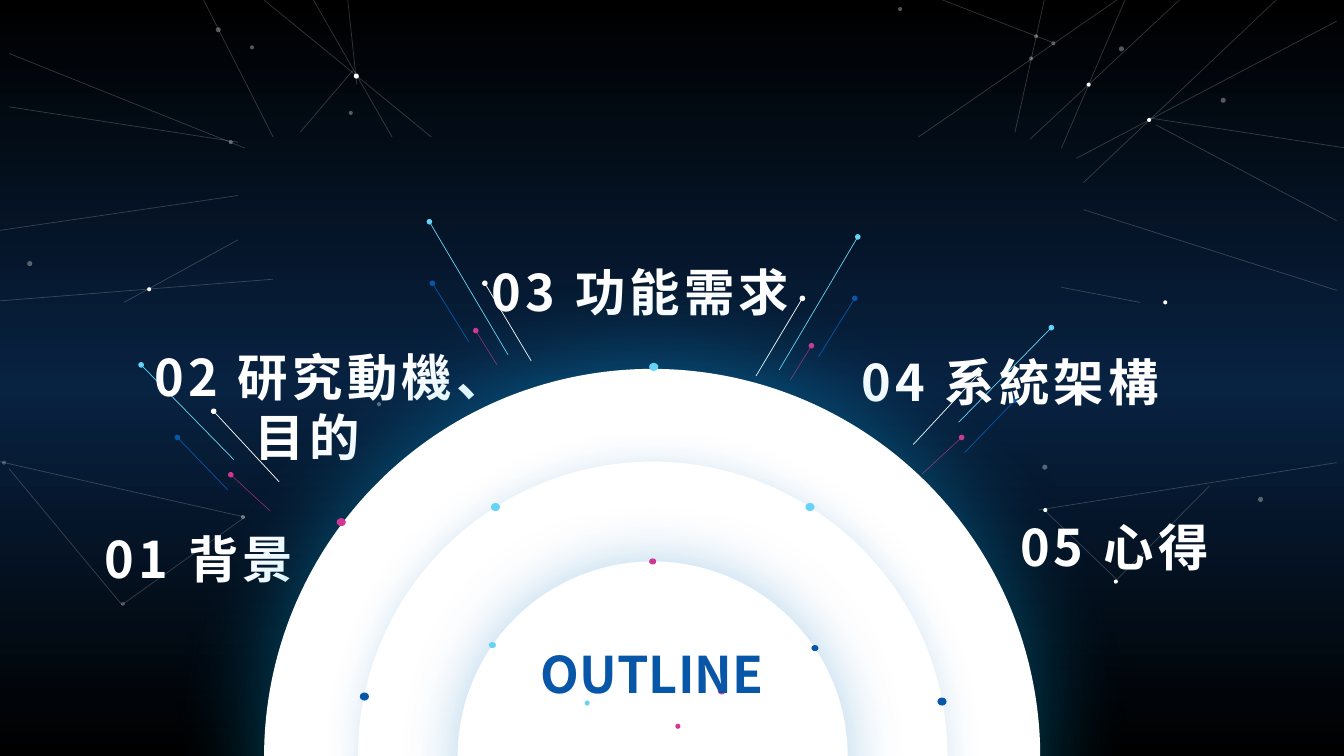
from lxml.etree import SubElement
from pptx import Presentation
from pptx.dml.color import RGBColor
from pptx.enum.shapes import MSO_CONNECTOR as LINK, MSO_SHAPE as SHAPE
from pptx.enum.text import MSO_ANCHOR as ANCHOR, MSO_AUTO_SIZE as FIT, PP_ALIGN as ALIGN
from pptx.oxml import parse_xml
from pptx.oxml.ns import nsdecls, qn
from pptx.util import Cm, Pt

IN = 2.54  # the layout grid is in inches, lengths are given in Cm
WHITE, CYAN, BLUE, PINK = "FFFFFF", "65D3F6", "0756A7", "D13694"


def paint(fill, colour, owner, alpha=100):
    fill.solid()
    fill.fore_color.rgb = RGBColor.from_string(colour)
    if alpha < 100:
        for tone in owner.element.spPr.iter(qn("a:srgbClr")):
            SubElement(tone, qn("a:alpha")).set("val", str(alpha * 1000))


def write(box, text, left, top, width, height=0.71, colour=WHITE, spacing=0, shift=0):
    box.left, box.top, box.width, box.height = [Cm(v * IN) for v in (left, top, width, height)]
    frame = box.text_frame
    frame.word_wrap = True
    frame.auto_size = FIT.SHAPE_TO_FIT_TEXT
    frame.vertical_anchor = ANCHOR.TOP
    frame.text = text
    for number, paragraph in enumerate(frame.paragraphs):
        paragraph.alignment = ALIGN.CENTER
        if number and shift:
            paragraph._p.get_or_add_pPr().set("marR", str(Cm(shift * IN)))
        font = paragraph.runs[0].font
        font.size, font.bold, font.name = Pt(36), True, "Noto Sans CJK SC"
        font.color.rgb = RGBColor.from_string(colour)
        props = paragraph.runs[0]._r.get_or_add_rPr()
        props.set("spc", str(spacing * 100))
        SubElement(props, qn("a:ea")).set("typeface", font.name)


deck = Presentation()
deck.slide_width, deck.slide_height = Cm(13.333 * IN), Cm(7.5 * IN)
slide = deck.slides.add_slide(deck.slide_layouts[5])
shapes = slide.shapes

# Night-sky background
stops = "".join(f'<a:gs pos="{pos}000"><a:srgbClr val="{tone}"/></a:gs>'
                for pos, tone in ((0, "000000"), (51, "082241"), (100, "000000")))
slide.element.cSld.insert(0, parse_xml(
    f'<p:bg {nsdecls("p", "a")}><p:bgPr><a:gradFill><a:gsLst>{stops}</a:gsLst>'
    '<a:lin ang="5400000" scaled="0"/></a:gradFill><a:effectLst/></p:bgPr></p:bg>'))

# Faint web of lines in the corners: from x, y to x, y
web = [
    (2.02, 0, 2.71, 1.36), (2.62, 0, 4.28, 1.36), (3.11, 0, 3.89, 1.36),
    (3.45, 0, 3.54, 0.84), (3.5, 0.7, 2.98, 1.31), (0.09, 0.53, 2.43, 1.47),
    (0.09, 1.06, 2.36, 1.41), (-0.1, 2.3, 2.36, 1.94), (-0.19, 3, 2.71, 2.77),
    (1.23, 3, 2.36, 2.38), (0, 4.58, 2.43, 5.13), (0.09, 4.65, 1.21, 6),
    (1.21, 6, 2.43, 5.13), (9.35, 0, 10.44, 0.42), (10.36, 0, 10.07, 1.31),
    (11.08, 0, 9.11, 1.36), (11.7, 0, 10.22, 1.38), (11.16, 0, 10.53, 1.47),
    (13.26, 0.21, 10.68, 1.57), (12.66, 0, 10.75, 1.81), (11.47, 1.24, 13.26, 2.19),
    (11.4, 1.17, 13.36, 1.47), (10.75, 2.08, 13.26, 2.88), (10.53, 2.85, 11.31, 3),
    (10.3, 5.06, 13.26, 4.59), (10.36, 5.06, 11.08, 5.75), (11.08, 5.75, 12, 4.82),
]
lines = [(ends, WHITE, 0.5, 20, False) for ends in web]

# Rays on the left, each fan mirrored to the right: mirror sum, drop, rays
fans = [
    (11.83, -0.37, [(2.12, 4.08, 2.77, 4.78), (1.4, 3.62, 2.32, 4.56),
                    (1.76, 4.34, 2.26, 4.86), (2.29, 4.71, 2.68, 5.07)]),
    (12.77, 0.15, [(4.81, 2.81, 5.27, 3.58), (4.26, 2.2, 5.04, 3.52),
                   (4.29, 2.81, 4.65, 3.39), (4.72, 3.28, 4.93, 3.62)]),
]
for mirror, drop, rays in fans:
    for (x1, y1, x2, y2), colour in zip(rays, (WHITE, CYAN, BLUE, PINK)):
        weight = 0.25 if colour == PINK else 0.5
        reflected = (mirror - x1, y1 + drop, mirror - x2, y2 + drop)
        lines += [(ends, colour, weight, 100, True) for ends in ((x1, y1, x2, y2), reflected)]

for ends, colour, weight, alpha, dotted in lines:
    ray = shapes.add_connector(LINK.STRAIGHT, *[Cm(v * IN) for v in ends])
    ray.line.width = Pt(weight)
    paint(ray.line.fill, colour, ray, alpha)
    if dotted:
        head = SubElement(ray.line._get_or_add_ln(), qn("a:headEnd"))
        for key, value in (("type", "oval"), ("w", "sm"), ("len", "sm")):
            head.set(key, value)
    SubElement(ray.element.spPr, qn("a:effectLst"))

# Chapters that lie under the glow of the dome
chapters = [
    ("01 背景", 0.73, 5.19, 2.49, 0.71), ("02 研究動機、\n目的", 1.26, 3.38, 4.04, 1.31),
    ("03 功能需求", 4.64, 2.54, 3.43, 0.71), ("04 系統架構", 8.27, 3.43, 3.5, 0.71),
]
for chapter in chapters:
    write(shapes.add_textbox(0, 0, 0, 0), *chapter, spacing=3, shift=0.46)

# Stars: left, top, size, opacity
stars = [
    (3.51, 0.73, 0.05, 100), (3.46, 1.1, 0.04, 33), (2.48, 0.45, 0.04, 33),
    (2.14, 0.27, 0.05, 33), (0.27, 2.59, 0.05, 33), (2.27, 1.39, 0.04, 33),
    (1.46, 2.85, 0.04, 100), (3.74, 3.99, 0.04, 33), (2.39, 5.11, 0.04, 36),
    (0.02, 4.57, 0.04, 24), (1.2, 5.97, 0.04, 24), (11.1, 0.46, 0.05, 33),
    (8.91, 0.07, 0.04, 33), (10.26, 0.34, 0.04, 33), (10.43, 0.41, 0.04, 33),
    (10.21, 0.56, 0.04, 33), (10.78, 0.82, 0.04, 100), (11.38, 1.17, 0.04, 100),
    (12.11, 0.97, 0.05, 33), (11.54, 2.98, 0.04, 100), (10.34, 4.61, 0.05, 33),
    (12.48, 4.93, 0.05, 33), (11.05, 5.75, 0.04, 100), (10.35, 5.04, 0.04, 100),
]
rounds = [(x, y, d, d, WHITE, alpha, ("5DFFF9", 40, 23, 0, 0)) for x, y, d, alpha in stars]

# Dome of three discs: left, top, size, glow (colour, opacity, blur, distance, angle)
dome = [
    (2.62, 3.66, 7.7, ("00B0F0", 40, 71, 3, 270)),
    (3.55, 4.58, 5.85, ("0070C0", 17, 25, 0, 0)),
    (4.54, 5.57, 3.87, ("0070C0", 31, 42, 0, 0)),
]
rounds += [(x, y, d, d, WHITE, 100, glow) for x, y, d, glow in dome]

# Beads on the discs: left, top, width, height, colour
beads = [
    (4.85, 6.37, 0.07, 0.06, CYAN), (6.44, 5.54, 0.07, 0.06, PINK),
    (8.05, 6.4, 0.07, 0.06, BLUE), (7.12, 6.81, 0.08, 0.08, PINK),
    (6.7, 7.18, 0.05, 0.05, PINK), (5.8, 6.95, 0.05, 0.05, CYAN),
    (4.87, 4.99, 0.09, 0.08, CYAN), (3.57, 6.87, 0.09, 0.08, BLUE),
    (7.99, 4.99, 0.09, 0.08, CYAN), (9.3, 6.92, 0.09, 0.08, BLUE),
    (3.34, 5.14, 0.09, 0.08, PINK), (6.44, 3.6, 0.09, 0.08, CYAN),
]
rounds += [(*bead, 100, None) for bead in beads]

for *box, colour, alpha, glow in rounds:
    disc = shapes.add_shape(SHAPE.OVAL, *[Cm(v * IN) for v in box])
    disc.line.fill.background()
    paint(disc.fill, colour, disc, alpha)
    disc.shadow.inherit = False
    if glow:
        tone, strength, blur, distance, angle = glow
        disc.element.spPr.find(qn("a:effectLst")).append(parse_xml(
            f'<a:outerShdw {nsdecls("a")} blurRad="{Pt(blur)}" dist="{Pt(distance)}" '
            f'dir="{angle * 60000}" algn="ctr" rotWithShape="0"><a:srgbClr val="{tone}">'
            f'<a:alpha val="{strength * 1000}"/></a:srgbClr></a:outerShdw>'))

# Title on the inner disc, and the last chapter
outline = shapes.title
outline.element.getparent().append(outline.element)
write(outline, "OUTLINE", 4.98, 6.33, 2.98, colour=BLUE)
write(shapes.add_textbox(0, 0, 0, 0), "05 心得", 9.78, 5.07, 2.55, spacing=3)

deck.save("out.pptx")
